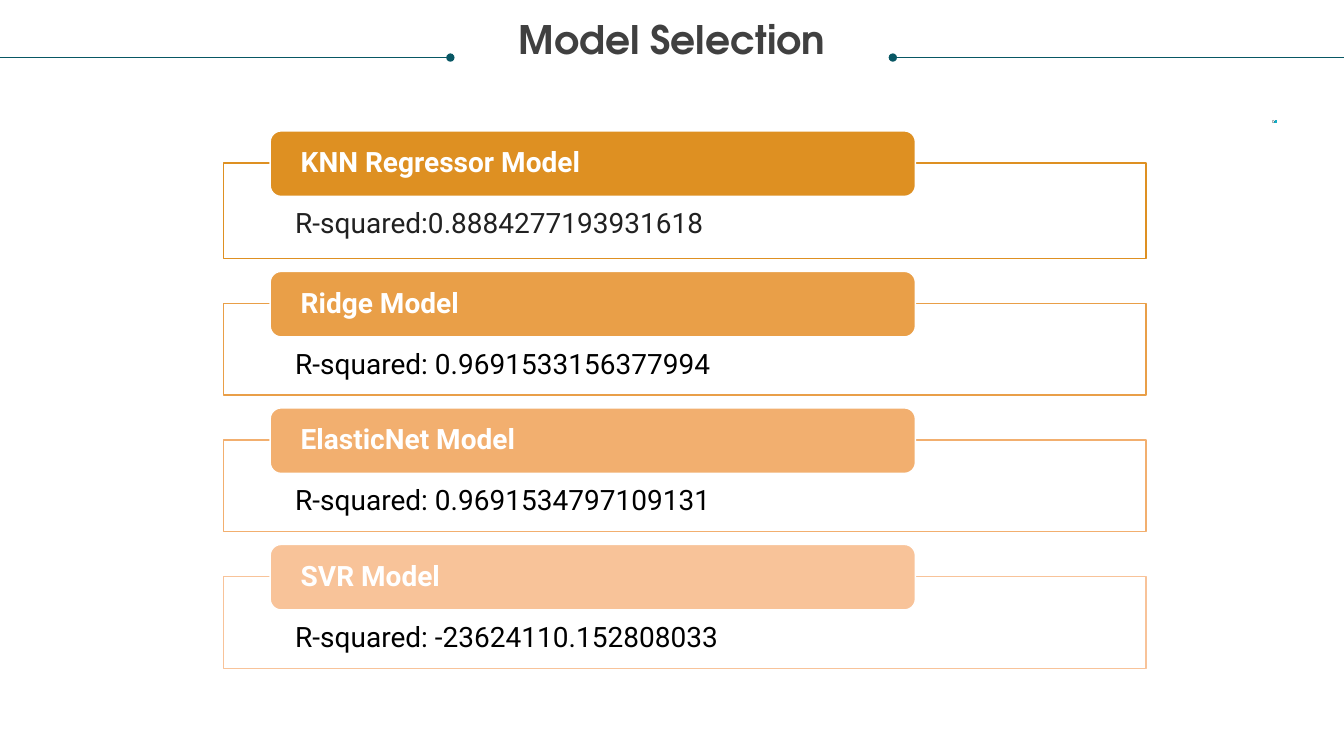
"""Builds a slide that compares the R-squared scores of four regression models."""
from pptx import Presentation, util as u
from pptx.chart.data import CategoryChartData
from pptx.dml.color import RGBColor
from pptx.enum import chart as ch, shapes, text
from pptx.oxml.ns import qn
from lxml import etree

WHITE = RGBColor(0xFF, 0xFF, 0xFF)
BLACK = RGBColor(0, 0, 0)
INK = RGBColor(0x21, 0x21, 0x21)
GREY = RGBColor(0x40, 0x40, 0x40)
GRID = RGBColor(0xD9, 0xD9, 0xD9)
PETROL = RGBColor(0x08, 0x57, 0x64)
CYAN = RGBColor(0x11, 0xAE, 0xC7)
ORANGE = RGBColor(0xDE, 0x90, 0x22)
AMBER = RGBColor(0xE9, 0x9F, 0x48)
APRICOT = RGBColor(0xF2, 0xAF, 0x6F)
PEACH = RGBColor(0xF8, 0xC3, 0x99)

WIDTH, HEIGHT = 33.87, 19.05
CARD_LEFT, CARD_WIDTH, CARD_GAP = 5.64, 23.24, 1.13
TAB_LEFT, TAB_WIDTH, TAB_HEIGHT, TAB_RISE = 6.81, 16.26, 1.65, 0.81
MODELS = [
    ("KNN Regressor Model", "R-squared:0.8884277193931618", ORANGE, INK, 2.41),
    ("Ridge Model", "R-squared: 0.9691533156377994", AMBER, BLACK, 2.31),
    ("ElasticNet Model", "R-squared: 0.9691534797109131", APRICOT, BLACK, 2.31),
    ("SVR Model", "R-squared: -23624110.152808033", PEACH, BLACK, 2.31),
]


class Deck:
    title_font, body_font, chart_font = "TeX Gyre Adventor", "Roboto", "Cabin"

    def __init__(self):
        self.prs = Presentation()
        self.prs.slide_width, self.prs.slide_height = u.Cm(WIDTH), u.Cm(HEIGHT)
        self.slide = self.prs.slides.add_slide(self.prs.slide_layouts[6])

    def label(self, shape, words, font, size, color, bold=False, insets=(0, 0, 0, 0),
              align=text.PP_ALIGN.LEFT, anchor=text.MSO_ANCHOR.TOP):
        frame = shape.text_frame
        frame.word_wrap, frame.vertical_anchor = True, anchor
        (frame.margin_left, frame.margin_top,
         frame.margin_right, frame.margin_bottom) = map(u.Cm, insets)
        paragraph = frame.paragraphs[0]
        paragraph.text, paragraph.alignment, paragraph.line_spacing = words, align, 0.9
        paragraph.font.name, paragraph.font.size = font, u.Pt(size)
        paragraph.font.bold, paragraph.font.color.rgb = bold, color

    def title(self, words):
        heading = self.slide.shapes.add_textbox(*map(u.Cm, (0.64, 0.53, 32.59, 2.16)))
        self.label(heading, words, self.title_font, 28, GREY, True,
                   align=text.PP_ALIGN.CENTER)

    def rule(self, start, end, dotted_end):
        y = u.Cm(1.45)
        rule = self.slide.shapes.add_connector(
            shapes.MSO_CONNECTOR.STRAIGHT, u.Cm(start), y, u.Cm(end), y)
        rule.line.color.rgb, rule.line.width = PETROL, u.Pt(0.5)
        line = rule._element.spPr.find(qn("a:ln"))
        etree.SubElement(line, qn(dotted_end), type="oval")
        etree.SubElement(rule._element.spPr, qn("a:effectLst"))

    def box(self, kind, bounds, fill, line):
        box = self.slide.shapes.add_shape(kind, *map(u.Cm, bounds))
        box.shadow.inherit = False
        box.fill.solid()
        box.fill.fore_color.rgb = fill
        box.line.color.rgb, box.line.width = line, u.Pt(1)
        return box

    def card(self, top, height, model, score, color, score_color):
        body = self.box(shapes.MSO_SHAPE.RECTANGLE,
                        (CARD_LEFT, top, CARD_WIDTH, height), WHITE, color)
        white = body._element.spPr.find(qn("a:solidFill"))[0]
        etree.SubElement(white, qn("a:alpha"), val="90000")
        self.label(body, score, self.body_font, 20, score_color,
                   insets=(1.8, 1.17, 1.8, 0.41))
        tab = self.box(shapes.MSO_SHAPE.ROUNDED_RECTANGLE,
                       (TAB_LEFT, top - TAB_RISE, TAB_WIDTH, TAB_HEIGHT), color, WHITE)
        self.label(tab, model, self.body_font, 20, WHITE, True, (0.69, 0, 0.69, 0),
                   anchor=text.MSO_ANCHOR.MIDDLE)

    def trend_chart(self, categories, values):
        data = CategoryChartData()
        data.categories = categories
        data.add_series("Series 1", values)
        chart = self.slide.shapes.add_chart(
            ch.XL_CHART_TYPE.LINE_MARKERS, *map(u.Cm, (32.05, 3, 0.13, 0.13)), data).chart
        chart.has_legend = chart.has_title = False
        chart.font.name, chart.font.size = self.chart_font, u.Pt(10)
        chart.font.color.rgb = BLACK
        chart.category_axis.visible = False
        axis = chart.value_axis
        axis.major_tick_mark = ch.XL_TICK_MARK.NONE
        axis.format.line.fill.background()
        axis.major_gridlines.format.line.color.rgb = GRID
        axis.major_gridlines.format.line.width = u.Pt(0.75)
        labels = axis.tick_labels.font
        labels.name, labels.size, labels.color.rgb = self.chart_font, u.Pt(12), GREY
        plot = chart.plots[0]
        plot.vary_by_categories = False
        series = plot.series[0]
        series.smooth = False
        series.format.line.color.rgb, series.format.line.width = CYAN, u.Pt(2.25)
        series.marker.style, series.marker.size = ch.XL_MARKER_STYLE.CIRCLE, 5
        series.marker.format.fill.solid()
        series.marker.format.fill.fore_color.rgb = CYAN
        series.marker.format.line.color.rgb = CYAN


def main():
    deck = Deck()
    deck.rule(22.5, WIDTH, "a:headEnd")
    deck.title("Model Selection")
    deck.rule(0, 11.35, "a:tailEnd")
    deck.trend_chart(["1", "2", "3", "4"], [2, 2, 3, 5, 7, 9, 12, 15, 20])
    top = 4.11
    for model, score, color, score_color, height in MODELS:
        deck.card(top, height, model, score, color, score_color)
        top += height + CARD_GAP
    deck.prs.save("out.pptx")


if __name__ == "__main__":
    main()
